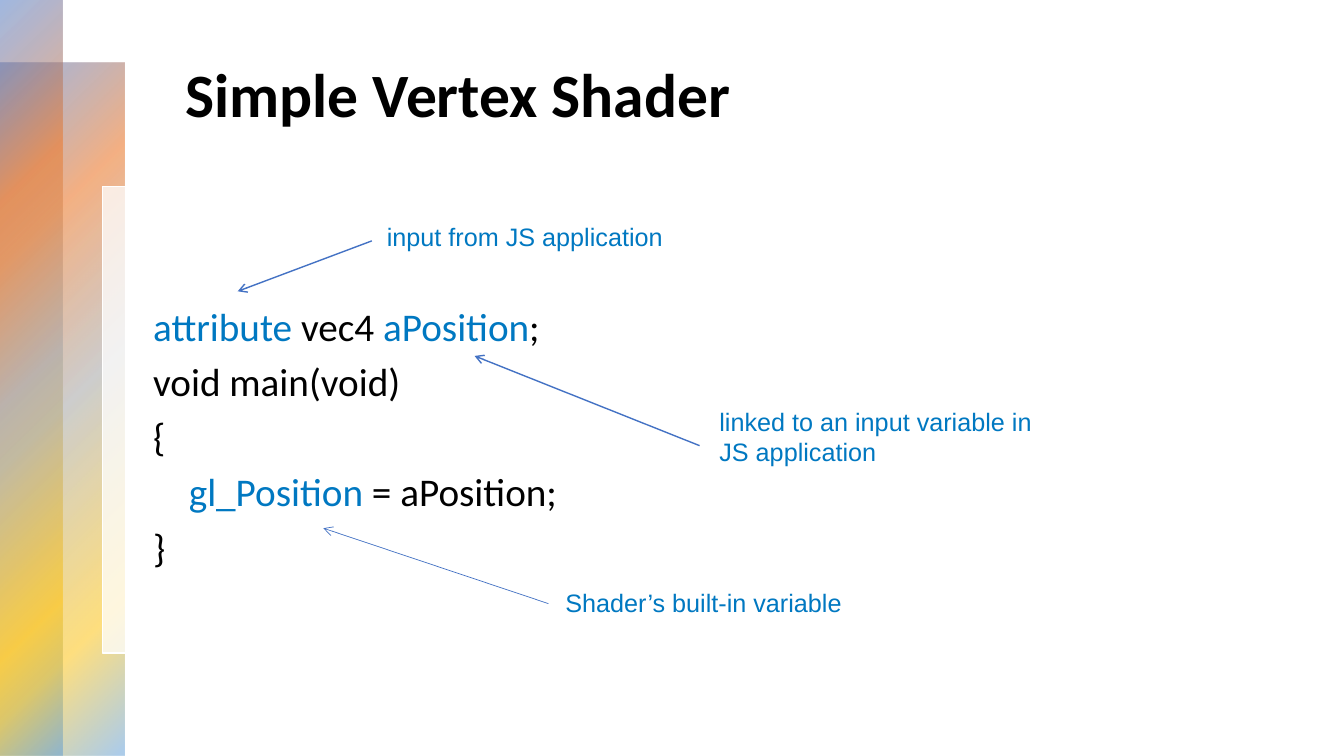
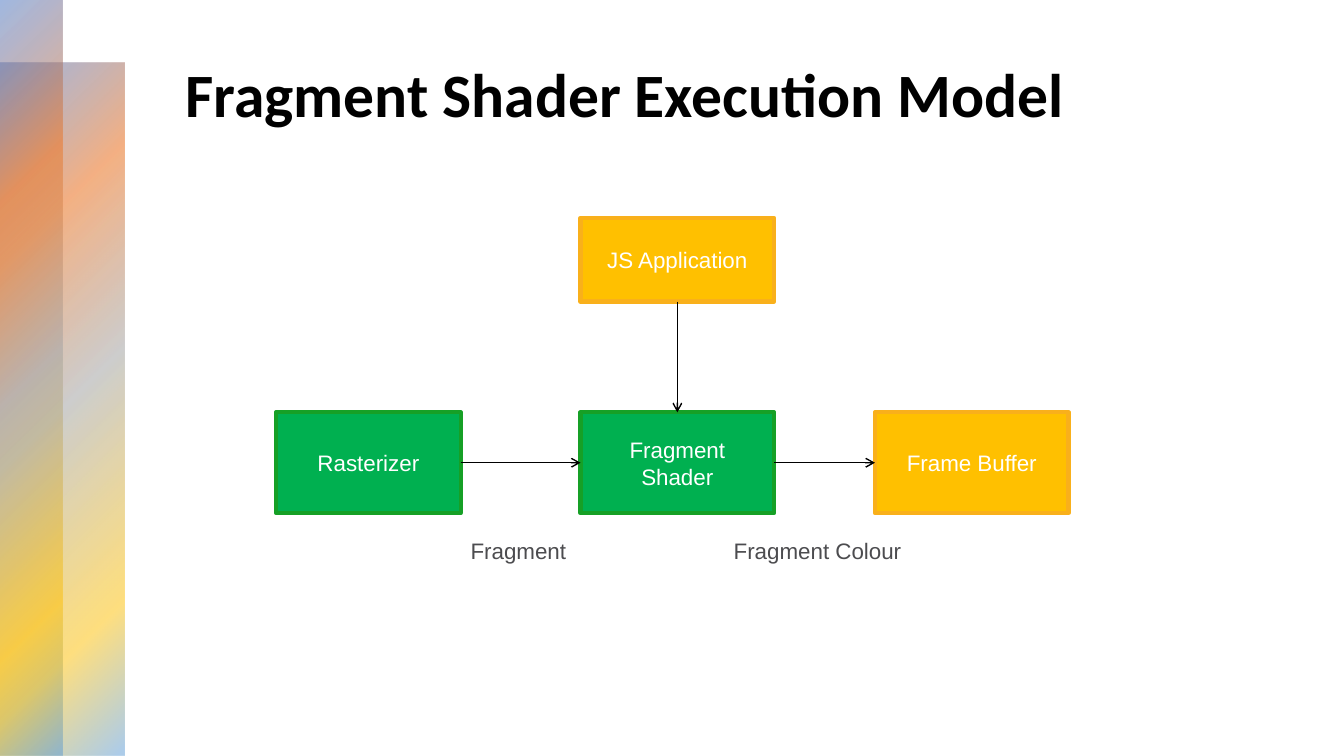
from lxml import etree
from pptx import Presentation
from pptx.dml.color import RGBColor
from pptx.enum.shapes import MSO_CONNECTOR, MSO_SHAPE
from pptx.enum.text import MSO_ANCHOR, PP_ALIGN
from pptx.oxml import parse_xml
from pptx.oxml.ns import nsdecls, qn
from pptx.util import Cm, Pt

BLACK, WHITE, GRAY = "000000", "FFFFFF", "4C4C4F"
BLUE, ARROW = "0078C1", "4472C4"
GREEN = ("00B050", "16A026")
AMBER = ("FFC000", "F9B01B")
TITLE_BOX = (4.42, 1.27, 26.34, 4.32)
BANDS = [(0, 1.57, 3.15, 17.48), (0, 0, 1.57, 19.05)]
STOPS = [(0, "4472C4", 50), (25, "ED7D31", 60), (50, "A5A5A5", 55),
         (81, "FFC000", 50), (99, "5B9BD5", 50)]


def rgb(code):
    return RGBColor.from_string(code)


def place(box):
    return [Cm(v) for v in box]


def add_run(para, text, size, color, font="Arial", bold=False):
    run = para.add_run()
    run.text = text
    run.font.size, run.font.name, run.font.bold = Pt(size), font, bold
    run.font.color.rgb = rgb(color)


def add_rect(slide, box, fill, line=None, width=1):
    rect = slide.shapes.add_shape(MSO_SHAPE.RECTANGLE, *place(box))
    rect.shadow.inherit = False
    rect.fill.solid()
    rect.fill.fore_color.rgb = rgb(fill)
    if line:
        rect.line.color.rgb = rgb(line)
        rect.line.width = Pt(width)
    else:
        rect.line.fill.background()
    return rect


def add_text(slide, box):
    frame = slide.shapes.add_textbox(*place(box)).text_frame
    frame.word_wrap = True
    return frame


def add_note(slide, box, text, size, color):
    add_run(add_text(slide, box).paragraphs[0], text, size, color)


def add_arrow(slide, start=(0, 0), end=(0, 0), color=BLACK, width=1):
    line = slide.shapes.add_connector(
        MSO_CONNECTOR.STRAIGHT, *place(start + end))
    line.line.color.rgb = rgb(color)
    line.line.width = Pt(width)
    etree.SubElement(line.line._get_or_add_ln(), qn("a:tailEnd"), type="arrow")
    etree.SubElement(line.element.spPr, qn("a:effectLst"))
    return line


def join(slide, first, side, last, edge):
    line = add_arrow(slide)
    line.begin_connect(first, side)
    line.end_connect(last, edge)


def add_bands(slide):
    """Draw the gradient bands and move them to the shared layout."""
    stops = "".join(
        f'<a:gs pos="{pos * 1000}"><a:srgbClr val="{color}">'
        f'<a:alpha val="{alpha * 1000}"/></a:srgbClr></a:gs>'
        for pos, color, alpha in STOPS)
    for i, box in enumerate(BANDS):
        band = add_rect(slide, box, WHITE).element
        solid = band.spPr.find(qn("a:solidFill"))
        band.spPr.replace(solid, parse_xml(
            f'<a:gradFill {nsdecls("a")}><a:gsLst>{stops}</a:gsLst>'
            '<a:lin ang="2700000" scaled="0"/></a:gradFill>'))
        band.nvSpPr.cNvPr.set("id", str(20 + i))
        slide.slide_layout.shapes.element.insert(2 + i, band)


def add_slide(deck, text):
    slide = deck.slides.add_slide(deck.slide_layouts[5])
    title = slide.shapes.title
    title.left, title.top, title.width, title.height = place(TITLE_BOX)
    title.text_frame.vertical_anchor = MSO_ANCHOR.TOP
    para = title.text_frame.paragraphs[0]
    para.alignment = PP_ALIGN.LEFT
    add_run(para, text, 44, BLACK, "Calibri", True)
    return slide


def add_code(slide, box):
    lines = [
        (0, [("attribute ", BLUE), ("vec4 ", BLACK),
             ("aPosition", BLUE), (";", BLACK)]),
        (0, [("void main(void)", BLACK)]),
        (0, [("{", BLACK)]),
        (0.9, [("gl_Position ", BLUE), ("= aPosition;", BLACK)]),
        (0, [("}", BLACK)]),
    ]
    frame = add_text(slide, box)
    for i, (indent, runs) in enumerate(lines):
        para = frame.add_paragraph() if i else frame.paragraphs[0]
        para.line_spacing = 0.9
        para.space_before = Pt(9.2 if i else 0)
        para._p.get_or_add_pPr().set("marL", str(Cm(indent)))
        for text, color in runs:
            add_run(para, text, 28, color, "Calibri")


def add_listing(slide, box):
    """Place the code on a pale panel with its notes and arrows."""
    x, y, w, h = box
    panel = add_rect(slide, box, WHITE, WHITE)
    color = panel.element.spPr.find(qn("a:solidFill"))[0]
    etree.SubElement(color, qn("a:alpha"), val="75000")
    add_code(slide, (x + 1.02, y + 2.92, 22.12, 8))
    notes = [
        ("input from JS application", (6.91, 0.74), 1.02,
         (6.78, 1.37), (3.4, 2.64), 1),
        ("linked to an input variable in JS application", (15.29, 5.41), 1.8,
         (15.04, 6.53), (9.37, 4.27), 1),
        ("Shader’s built-in variable", (11.41, 9.98), 1.02,
         (11.23, 10.51), (5.56, 8.61), 0.5),
    ]
    for text, at, high, start, end, width in notes:
        add_arrow(slide, (x + start[0], y + start[1]),
                  (x + end[0], y + end[1]), ARROW, width)
        add_note(slide, (x + at[0], y + at[1], 8.53, high), text, 18, BLUE)


def add_step(slide, box, text, colors):
    step = add_rect(slide, box, *colors, 3)
    frame = step.text_frame
    frame.word_wrap = True
    frame.vertical_anchor = MSO_ANCHOR.MIDDLE
    para = frame.paragraphs[0]
    para.alignment = PP_ALIGN.CENTER
    add_run(para, text, 16, WHITE)
    return step


def add_flow(slide, box):
    x, y, w, h = box
    wide, high = 4.88, 2.54
    row, mid = y + h - high, x + 7.67
    shader = add_step(slide, (mid, row, wide, high), "Fragment Shader", GREEN)
    app = add_step(slide, (mid, y, wide, 2.11), "JS Application", AMBER)
    buffer = add_step(slide, (x + w - wide, row, wide, high),
                      "Frame Buffer", AMBER)
    raster = add_step(slide, (x, row, 4.65, high), "Rasterizer", GREEN)
    join(slide, app, 2, shader, 0)
    join(slide, raster, 3, shader, 1)
    join(slide, shader, 3, buffer, 1)
    for text, left, width in [("Fragment", 4.65, 3.28),
                              ("Fragment Colour", 11.28, 5.26)]:
        add_note(slide, (x + left, y + h + 0.47, width, 0.94), text, 16, GRAY)


def main():
    deck = Presentation()
    deck.slide_width, deck.slide_height = Cm(33.87), Cm(19.05)
    vertex = add_slide(deck, "Simple Vertex Shader")
    add_bands(vertex)
    add_listing(vertex, (2.59, 4.7, 26.67, 11.76))
    model = add_slide(deck, "Fragment Shader Execution Model")
    add_flow(model, (6.96, 5.49, 19.97, 7.44))
    deck.save("out.pptx")


if __name__ == "__main__":
    main()
